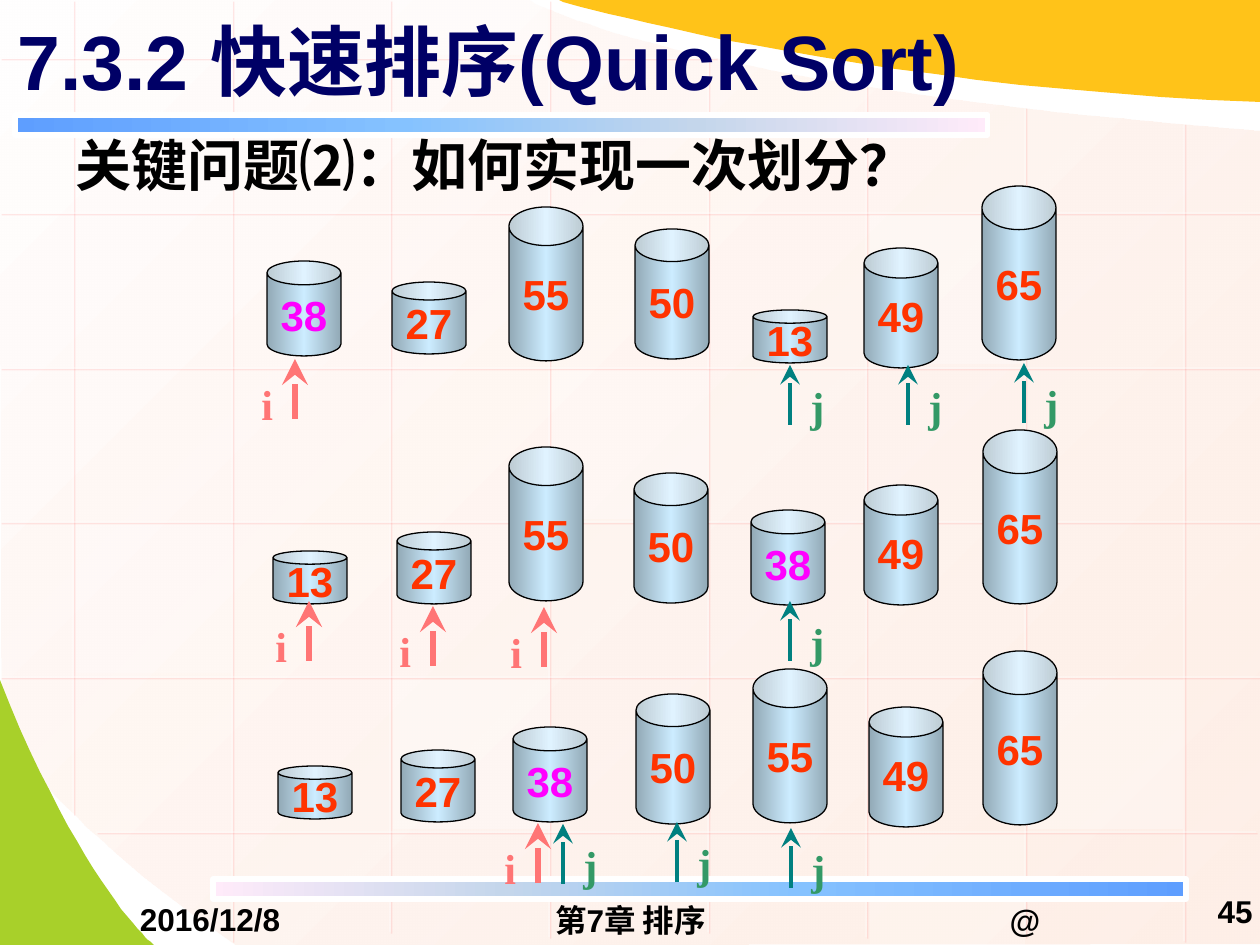
import pptx
import pptx.util
import pptx.dml.color
import pptx.enum.shapes
import pptx.enum.text
import pptx.oxml.ns
import lxml.etree

PX = 914400 / 126
MSO_SHAPE = pptx.enum.shapes.MSO_SHAPE
STRAIGHT = pptx.enum.shapes.MSO_CONNECTOR.STRAIGHT
ALIGN = pptx.enum.text.PP_ALIGN
ANCHOR = pptx.enum.text.MSO_ANCHOR
qn = pptx.oxml.ns.qn


def paint(fill, color):
    fill.solid()
    fill.fore_color.rgb = pptx.dml.color.RGBColor.from_string(color)


def write(frame, text, size, color, align=ALIGN.LEFT, font="Arial", anchor=ANCHOR.MIDDLE):
    frame.vertical_anchor = anchor
    paragraph = frame.paragraphs[0]
    paragraph.alignment = align
    run = paragraph.add_run()
    run.text = text
    run.font.name = font
    run.font.size = pptx.util.Pt(size)
    run.font.bold = True
    paint(run.font.fill, color)


prs = pptx.Presentation()
prs.slide_width = round(1260 * PX)
prs.slide_height = round(945 * PX)
slide = prs.slides.add_slide(prs.slide_layouts[5])
shapes = slide.shapes
gradients = []    # shape, stops (position, colour, opacity), angle
translucent = []  # shape, opacity

# Background outlines: one point is a corner, three points are a Bézier curve
outlines = [
    ("FEE9DE", (1260, 131), [[(1260, 944)], [(236, 945)], [(69, 832), (1, 731), (2, 731)],
                             [(0, 0)], [(530, 1)], [(530, 1), (677, 87), (1260, 131)]]),
    ("A8D02A", (0, 680), [[(0, 945)], [(154, 945)], [(154, 945), (83, 888), (0, 680)]]),
    ("FFC319", (1260, 102), [[(1260, 0)], [(557, 0)], [(557, 0), (849, 87), (1260, 102)]]),
]
for color, start, segments in outlines:
    points = [start]
    for segment in segments:
        if len(segment) == 1:
            points += segment
            continue
        a, (b, c, d) = points[-1], segment
        for step in range(1, 25):
            t = step / 24
            points.append(tuple((1 - t) ** 3 * a[k] + 3 * t * (1 - t) ** 2 * b[k]
                                + 3 * t * t * (1 - t) * c[k] + t ** 3 * d[k] for k in (0, 1)))
    builder = shapes.build_freeform(*start, scale=PX)
    builder.add_line_segments(points[1:], close=True)
    outline = builder.convert_to_shape()
    outline.shadow.inherit = False
    outline.line.fill.background()
    paint(outline.fill, color)
    if color == "FEE9DE":
        gradients.append((outline, [(0, "FFFEFE", 100), (100, color, 70)], 315))

# Background grid lines with a faint pink shadow
columns = [(0, 814), (0, 941), (0, 932), (0, 937), (54, 932), (86, 937), (107, 937), (123, 941)]
rows = [(0, 716), (0, 1260), (0, 1260), (0, 1260), (0, 1260), (96, 1256)]
grid = [(round(73 + 158.7 * i), top, round(73 + 158.7 * i), bottom)
        for i, (top, bottom) in enumerate(columns)]
grid += [(right, round(58 + 154.8 * i), left, round(58 + 154.8 * i))
         for i, (left, right) in enumerate(rows)]
for ends in grid:
    grid_line = shapes.add_connector(STRAIGHT, *[round(v * PX) for v in ends])
    grid_line.line.width = pptx.util.Pt(0.75)
    paint(grid_line.line.fill, "FFFFFF")
    grid_line._element.spPr.append(lxml.etree.fromstring(
        '<a:effectLst xmlns:a="http://schemas.openxmlformats.org/drawingml/2006/main">'
        '<a:outerShdw dist="17780" dir="2700000"><a:srgbClr val="FF7575">'
        '<a:alpha val="33000"/></a:srgbClr></a:outerShdw></a:effectLst>'))
    translucent.append((grid_line, 50))

# Pale grid tiles: column, row, top, height, opacity
for column, top, height, opacity in [(3, 370, 149, 25), (6, 680, 149, 30), (0, 524, 149, 20),
                                     (5, 835, 110, 20), (2, 0, 55, 40), (2, 680, 149, 30),
                                     (5, 215, 149, 30)]:
    tile = shapes.add_shape(MSO_SHAPE.RECTANGLE, round(round(76 + 158.7 * column) * PX),
                            round(top * PX), round(155 * PX), round(height * PX))
    tile.shadow.inherit = False
    tile.line.fill.background()
    paint(tile.fill, "FFFFFF")
    translucent.append((tile, opacity))

# Gradient bars below the title and above the footer
for left, top, turn in [(15, 115, 0), (213, 879, 180)]:
    bar = shapes.add_shape(MSO_SHAPE.RECTANGLE, round(left * PX), round(top * PX),
                           round(973 * PX), round(20 * PX))
    bar.shadow.inherit = False
    bar.rotation = turn
    paint(bar.line.fill, "FFFFFF")
    bar.line.width = pptx.util.Pt(3)
    gradients.append((bar, [(0, "5E9EFF", 100), (40, "85C2FF", 100),
                            (70, "C4D6EB", 100), (100, "FFEBFA", 100)], 0))

# Title, brought in front of the background
title = shapes.title
title.left, title.top, title.width, title.height = [round(v * PX) for v in (5, -4, 1134, 127)]
write(title.text_frame, "7.3.2 快速排序(Quick Sort)", 44, "000066")
shapes._spTree.append(title._element)

# Question and footer
for text, left, top, width, height, size, align, pad in [
        ("关键问题⑵：如何实现一次划分？", 63, 125, 1043, 79, 32, ALIGN.LEFT, 6),
        ("2016/12/8", 63, 900, 294, 38, 18, ALIGN.CENTER, 0),
        ("第7章 排序", 431, 901, 399, 38, 18, ALIGN.CENTER, 0),
        ("@", 878, 901, 294, 38, 18, ALIGN.CENTER, 0),
        ("45", 1182, 880, 83, 62, 18, ALIGN.RIGHT, 6)]:
    box = shapes.add_textbox(*[round(v * PX) for v in (left, top, width, height)])
    box.text_frame.word_wrap = True
    box.text_frame.margin_top = box.text_frame.margin_bottom = round(pad * PX)
    write(box.text_frame, text, size, "000000", align)

# Cans: the height stands for the value, the pivot 38 is magenta
can_heights = {13: 53, 27: 72, 38: 95, 49: 120, 50: 130, 55: 154, 65: 174}
passes = [
    [(38, 267, 261), (27, 392, 282), (55, 509, 207), (50, 635, 229),
     (13, 753, 310), (49, 864, 248), (65, 982, 186)],
    [(13, 273, 551), (27, 397, 532), (55, 509, 447), (50, 634, 473),
     (38, 751, 510), (49, 864, 485), (65, 983, 430)],
    [(13, 278, 766), (27, 401, 750), (38, 513, 727), (50, 636, 694),
     (55, 753, 669), (49, 869, 707), (65, 983, 651)],
]
for cans in passes:
    for value, left, top in cans:
        height = can_heights[value]
        can = shapes.add_shape(MSO_SHAPE.CAN, round(left * PX), round(top * PX),
                               round(74 * PX), round(height * PX))
        can.adjustments[0] = max(0.25, height / 295)
        can.shadow.inherit = False
        paint(can.line.fill, "000000")
        can.line.width = pptx.util.Pt(0.75)
        can.text_frame.word_wrap = False
        write(can.text_frame, str(value), 24, "FF00FF" if value == 38 else "FF3300", ALIGN.CENTER)
        gradients.append((can, [(0, "92A9B6", 100), (50, "CCECFF", 100), (100, "92A9B6", 100)], 0))

# Index pointers: arrow colour, width, label colour, label offset, arrow tips
pointers = [
    ("i", "FF7575", 3, "FF7575", (-46, 13),
     [(295, 359), (309, 601), (433, 606), (544, 607), (538, 823)]),
    ("j", "008080", 2.25, "339966", (8, 9),
     [(1024, 363), (908, 365), (790, 365), (790, 601), (677, 822), (563, 824), (791, 828)]),
]
for index, arrow_color, weight, label_color, (dx, dy), tips in pointers:
    for x, y in tips:
        arrow = shapes.add_connector(STRAIGHT, *[round(v * PX) for v in (x, y + 60, x, y)])
        paint(arrow.line.fill, arrow_color)
        arrow.line.width = pptx.util.Pt(weight)
        props = arrow._element.spPr
        lxml.etree.SubElement(props.find(qn("a:ln")), qn("a:tailEnd"),
                              type="stealth", w="lg", len="lg")
        lxml.etree.SubElement(props, qn("a:effectLst"))
        label = shapes.add_textbox(*[round(v * PX) for v in (x + dx, y + dy, 32, 63)])
        label.text_frame.word_wrap = True
        write(label.text_frame, index, 24, label_color, font="Times New Roman", anchor=ANCHOR.TOP)

# Gradient stops and opacity
for shape, stops, angle in gradients:
    shape.fill.gradient()
    shape.fill.gradient_angle = angle
    stop_list = shape._element.spPr.find(qn("a:gradFill")).find(qn("a:gsLst"))
    for old_stop in list(stop_list):
        stop_list.remove(old_stop)
    for position, color, opacity in stops:
        stop = lxml.etree.SubElement(stop_list, qn("a:gs"), pos=str(position * 1000))
        stop_color = lxml.etree.SubElement(stop, qn("a:srgbClr"), val=color)
        lxml.etree.SubElement(stop_color, qn("a:alpha"), val=str(opacity * 1000))
for shape, opacity in translucent:
    first_color = next(shape._element.spPr.iter(qn("a:srgbClr")))
    lxml.etree.SubElement(first_color, qn("a:alpha"), val=str(opacity * 1000))

prs.save("out.pptx")
